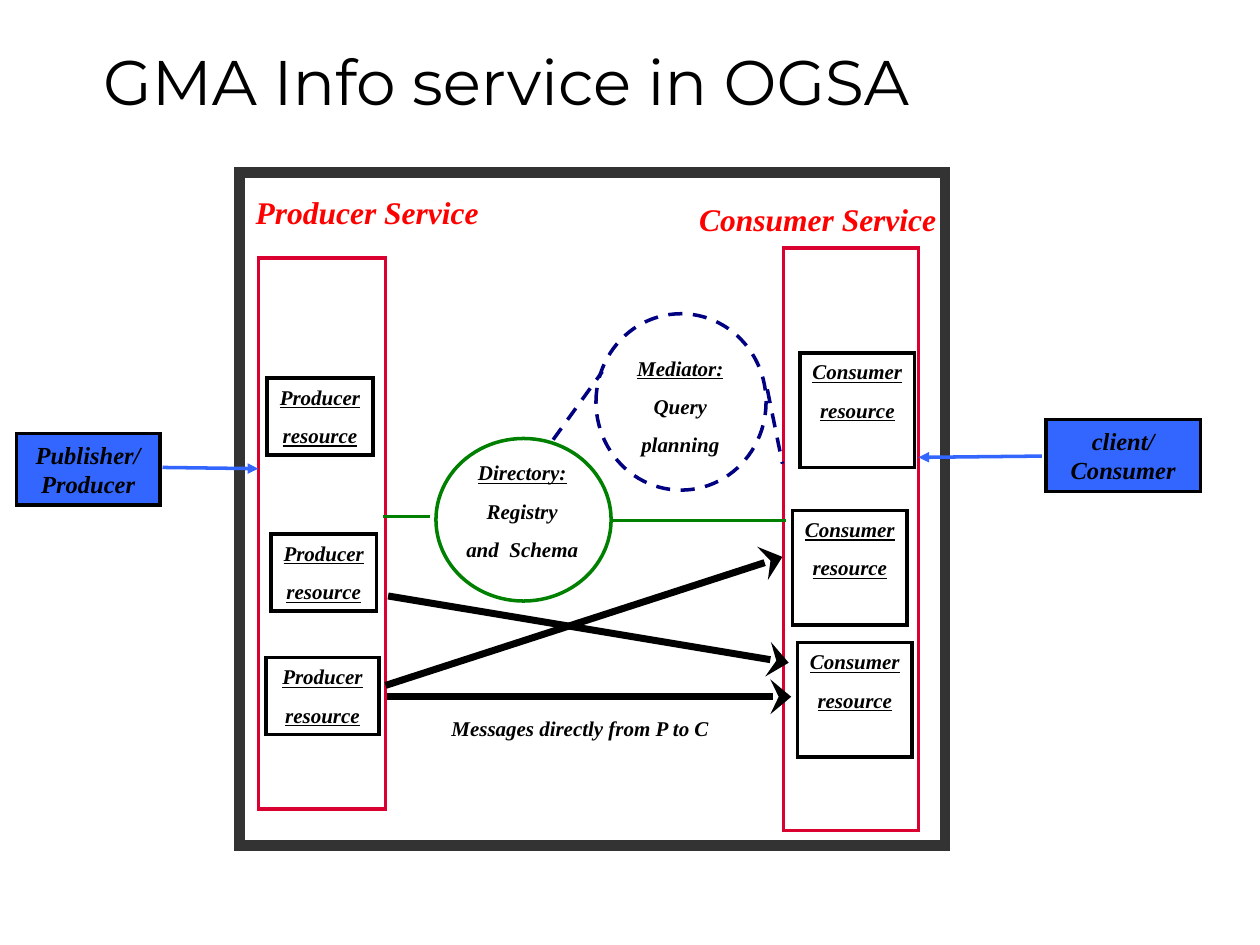
from dataclasses import dataclass

from lxml import etree
from pptx import Presentation
from pptx.dml.color import RGBColor
from pptx.enum.dml import MSO_LINE
from pptx.enum.shapes import MSO_CONNECTOR, MSO_SHAPE
from pptx.enum.text import MSO_ANCHOR, PP_ALIGN
from pptx.oxml.ns import qn
from pptx.util import Inches, Pt

RECTANGLE, OVAL = MSO_SHAPE.RECTANGLE, MSO_SHAPE.OVAL
STRAIGHT, DASH = MSO_CONNECTOR.STRAIGHT, MSO_LINE.DASH
LEFT, CENTER = PP_ALIGN.LEFT, PP_ALIGN.CENTER
TOP, MIDDLE = MSO_ANCHOR.TOP, MSO_ANCHOR.MIDDLE


@dataclass(frozen=True)
class Theme:
    black: RGBColor = RGBColor.from_string("000000")
    frame: RGBColor = RGBColor.from_string("333333")
    service: RGBColor = RGBColor.from_string("DA0030")
    heading: RGBColor = RGBColor.from_string("FF0000")
    directory: RGBColor = RGBColor.from_string("008000")
    mediator: RGBColor = RGBColor.from_string("000080")
    outside: RGBColor = RGBColor.from_string("3366FF")
    title_font: str = "Montserrat"
    body_font: str = "Times New Roman"
    title_size: int = 36
    heading_size: int = 18
    actor_size: int = 14
    label_size: int = 12
    paragraph_gap: float = 7.5
    thin: int = 2
    thick: int = 4
    frame_width: int = 6


theme = Theme()
BODY = {"name": theme.body_font, "bold": True, "italic": True}
LABEL = {**BODY, "size": Pt(theme.label_size)}
HEADING = {**BODY, "size": Pt(theme.heading_size)}
ACTOR = {**BODY, "size": Pt(theme.actor_size)}
TITLE = {"name": theme.title_font, "size": Pt(theme.title_size)}

presentation = Presentation()
presentation.slide_width, presentation.slide_height = Inches(10), Inches(7.5)
slide = presentation.slides.add_slide(presentation.slide_layouts[6])
shapes = slide.shapes


def write(shape, lines, style, color=theme.black, underlined=0, wrap=False,
          align=CENTER, anchor=TOP):
    """Fill a shape with one paragraph per line, underlining the first few."""
    frame = shape.text_frame
    frame.word_wrap, frame.vertical_anchor = wrap, anchor
    for index, line in enumerate(lines):
        paragraph = frame.add_paragraph() if index else frame.paragraphs[0]
        paragraph.alignment = align
        if index:
            paragraph.space_before = Pt(theme.paragraph_gap)
        run = paragraph.add_run()
        run.text = line
        for name, value in style.items():
            setattr(run.font, name, value)
        run.font.underline = index < underlined
        run.font.color.rgb = color


def add_outline(kind, box, color, width=theme.thin, fill=None):
    """Add a shape with a sharp-cornered outline and an optional fill."""
    shape = shapes.add_shape(kind, *map(Inches, box))
    shape.shadow.inherit = False
    if fill is None:
        shape.fill.background()
    else:
        shape.fill.solid()
        shape.fill.fore_color.rgb = fill
    shape.line.color.rgb = color
    shape.line.width = Pt(width)
    line = shape.element.spPr.find(qn("a:ln"))
    etree.SubElement(line, qn("a:miter"), {"lim": "800000"})
    return shape


# Frame, services, directory and mediator
add_outline(RECTANGLE, (1.9, 1.37, 5.6, 5.34), theme.frame, theme.frame_width)
add_outline(RECTANGLE, (2.05, 2.05, 1.01, 4.37), theme.service)
add_outline(RECTANGLE, (6.22, 1.97, 1.07, 4.62), theme.service)
add_outline(OVAL, (3.46, 3.48, 1.39, 1.29), theme.directory)
mediator = add_outline(OVAL, (4.73, 2.49, 1.35, 1.4), theme.mediator)
mediator.line.dash_style = DASH

# Free text
texts = [
    ((0.72, 0, 8.39, 1.28), ["GMA Info service in OGSA"], TITLE,
     {"wrap": True, "align": LEFT, "anchor": MIDDLE}),
    ((1.93, 1.48, 1.97, 0.4), ["Producer Service"], HEADING,
     {"color": theme.heading}),
    ((5.45, 1.54, 2.08, 0.4), ["Consumer Service"], HEADING,
     {"color": theme.heading}),
    ((3.6, 3.6, 1.09, 0.91), ["Directory:", "Registry", "and  Schema"], LABEL,
     {"underlined": 1}),
    ((4.9, 2.77, 1, 0.91), ["Mediator:", "Query", "planning"], LABEL,
     {"underlined": 1}),
    ((3.48, 5.63, 2.25, 0.3), ["Messages directly from P to C"], LABEL, {}),
]
for box, lines, style, options in texts:
    write(shapes.add_textbox(*map(Inches, box)), lines, style, **options)

# Resources inside each service
resources = {
    "Producer": [(2.12, 3, 0.84, 0.61), (2.15, 4.24, 0.84, 0.61),
                 (2.11, 5.22, 0.9, 0.61)],
    "Consumer": [(6.35, 2.8, 0.91, 0.91), (6.29, 4.05, 0.91, 0.91),
                 (6.33, 5.1, 0.91, 0.91)],
}
for role, boxes in resources.items():
    for box in boxes:
        resource = add_outline(RECTANGLE, box, theme.black)
        write(resource, [role, "resource"], LABEL, underlined=2)

# Actors outside the frame
actors = [((0.13, 3.44, 1.14, 0.57), "Publisher/Producer"),
          ((8.3, 3.33, 1.23, 0.57), "client/ Consumer")]
for box, name in actors:
    actor = add_outline(RECTANGLE, box, theme.black, fill=theme.outside)
    write(actor, [name], ACTOR, wrap=True)

# Connections: start, end, and a kind of colour, width, dash, arrowhead
ACCESS_HEAD = {"type": "triangle"}
MESSAGE_HEAD = {"type": "stealth", "w": "lg", "len": "med"}
directory_link = (theme.directory, theme.thin, None, None)
mediator_link = (theme.mediator, theme.thin, DASH, None)
access = (theme.outside, theme.thin, None, ACCESS_HEAD)
message = (theme.black, theme.thick, None, MESSAGE_HEAD)
connections = [
    ((3.04, 4.1), (3.41, 4.1), directory_link),
    ((4.86, 4.13), (6.24, 4.13), directory_link),
    ((6.09, 3.09), (6.21, 3.68), mediator_link),
    ((4.39, 3.49), (4.78, 2.95), mediator_link),
    ((1.29, 3.71), (2.05, 3.72), access),
    ((8.27, 3.62), (7.29, 3.63), access),
    ((3.07, 5.53), (6.28, 5.53), message),
    ((3.08, 4.73), (6.26, 5.26), message),
    ((3.06, 5.44), (6.21, 4.42), message),
]
for start, end, (color, width, dash, head) in connections:
    connector = shapes.add_connector(STRAIGHT, *map(Inches, start + end))
    connector.line.color.rgb = color
    connector.line.width = Pt(width)
    if dash:
        connector.line.dash_style = dash
    properties = connector.element.spPr
    if head:
        etree.SubElement(properties.find(qn("a:ln")), qn("a:tailEnd"), head)
    etree.SubElement(properties, qn("a:effectLst"))

presentation.save("out.pptx")
